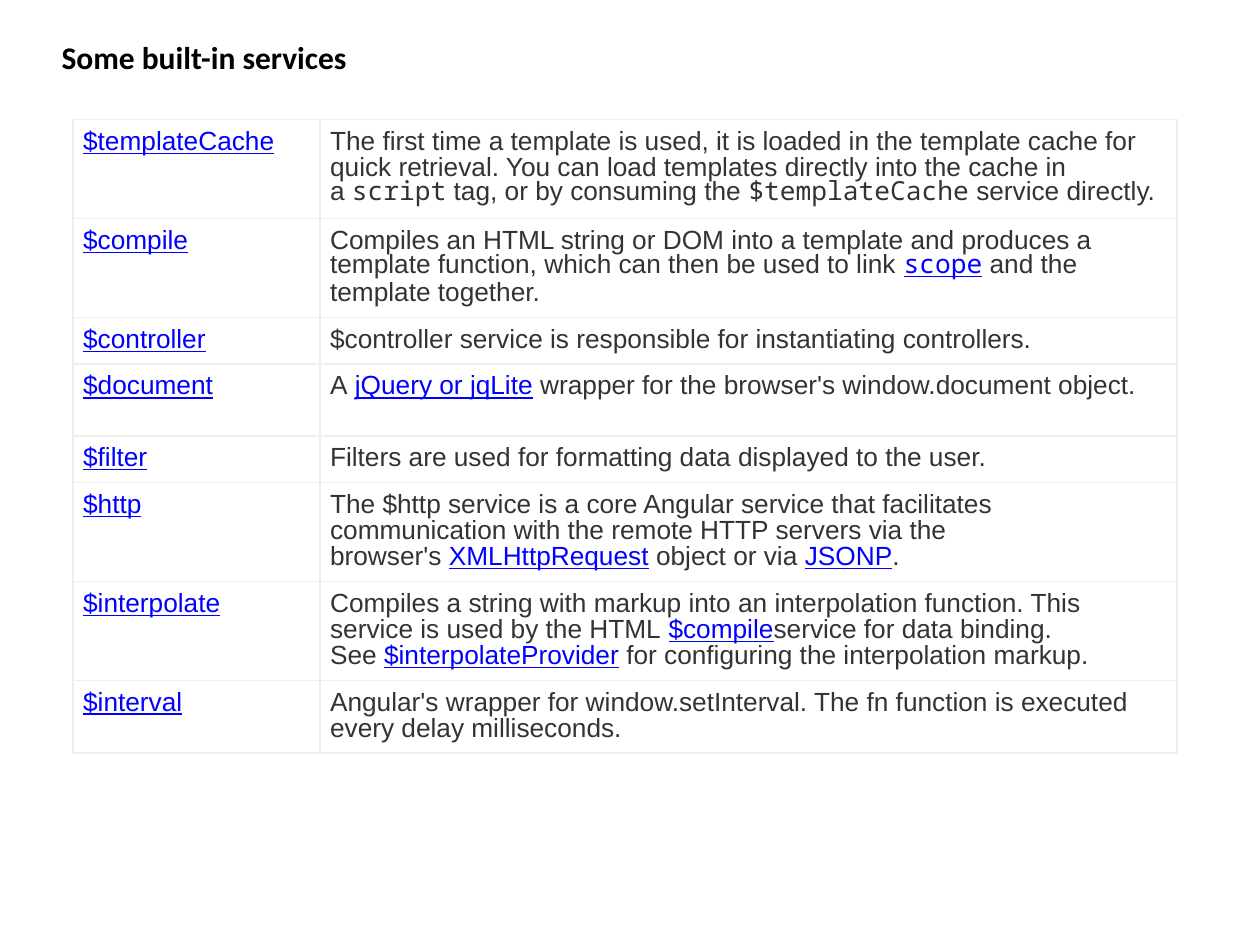
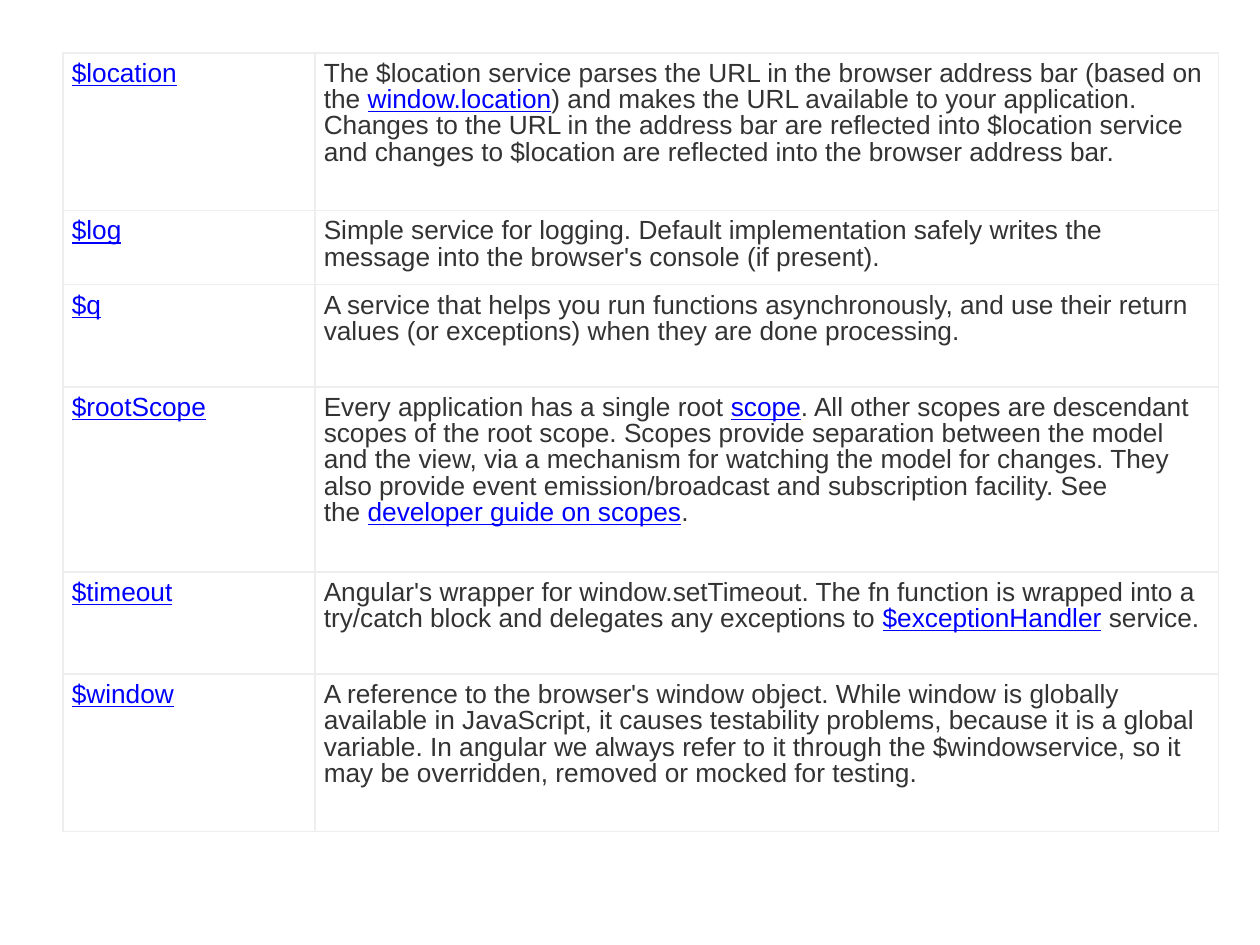
from lxml.etree import SubElement as Sub
from pptx import Presentation
from pptx.dml.color import RGBColor as RGB
from pptx.enum.text import MSO_AUTO_SIZE as Fit
from pptx.oxml.ns import qn
from pptx.util import Inches, Pt

HUES = {"title": "000000", "body": "333333", "link": "0000FF",
        "rule": "EEEEEE", "cell": "FFFFFF"}
FONTS = {"title": "Calibri", "body": "Arial", "code": "Noto Sans Mono"}

# In the texts "~" is a no-break space and "|" parts the runs.
# A run that starts with "@" is a link, "#" is code, "@#" is both.
CORE = [
    ("$templateCache", 0.77,
     "The first time a template is used, it is loaded in the template cache "
     "for quick retrieval. You can load templates directly into the cache in "
     "a~|#script|~tag, or by consuming the~|#$templateCache|~service directly."),
    ("$compile", 0.77,
     "Compiles an HTML string or DOM into a template and produces a template "
     "function, which can then be used to link~|@#scope|~and the template "
     "together."),
    ("$controller", 0.37,
     "$controller~service is responsible for instantiating controllers."),
    ("$document", 0.57,
     "A~|@jQuery or jqLite|~wrapper for the browser's~window.document~object."),
    ("$filter", 0.37,
     "Filters are used for formatting data displayed to the user."),
    ("$http", 0.77,
     "The~$http~service is a core Angular service that facilitates "
     "communication with the remote HTTP servers via the browser's~|"
     "@XMLHttpRequest|~object or via~|@JSONP|."),
    ("$interpolate", 0.77,
     "Compiles a string with markup into an interpolation function. This "
     "service is used by the HTML~|@$compile|service for data binding. See~|"
     "@$interpolateProvider|~for configuring the interpolation markup."),
    ("$interval", 0.57,
     "Angular's wrapper for~window.setInterval. The~fn~function is executed "
     "every~delay~milliseconds."),
]
MORE = [
    ("$location", 1.25,
     "The $location service parses the URL in the browser address bar (based "
     "on the~|@window.location|) and makes the URL available to your "
     "application. Changes to the URL in the address bar are reflected into "
     "$location service and changes to $location are reflected into the "
     "browser address bar."),
    ("$log", 0.59,
     "Simple service for logging. Default implementation safely writes the "
     "message into the browser's console (if present)."),
    ("$q", 0.81,
     "A service that helps you run functions asynchronously, and use their "
     "return values (or exceptions) when they are done processing."),
    ("$rootScope", 1.47,
     "Every application has a single root~|@scope|. All other scopes are "
     "descendant scopes of the root scope. Scopes provide separation between "
     "the model and the view, via a mechanism for watching the model for "
     "changes. They also provide event emission/broadcast and subscription "
     "facility. See the~|@developer guide on scopes|."),
    ("$timeout", 0.81,
     "Angular's wrapper for~window.setTimeout. The~fn~function is wrapped "
     "into a try/catch block and delegates any exceptions to~|"
     "@$exceptionHandler|~service."),
    ("$window", 1.25,
     "A reference to the browser's~window~object. While~window~is globally "
     "available in JavaScript, it causes testability problems, because it is "
     "a global variable. In angular we always refer to it through the~"
     "$windowservice, so it may be overridden, removed or mocked for testing."),
]


def add_run(para, text, font="body", size=15, hue="body", bold=None, line=None):
    """Add one formatted run to a paragraph."""
    run = para.add_run()
    run.text = text.replace("~", "\u00a0")
    face = run.font
    face.name, face.size = FONTS[font], Pt(size)
    face.bold, face.underline = bold, line
    face.color.rgb = RGB.from_string(HUES[hue])


def add_rules(cell):
    """Draw a thin rule on all four sides of a cell."""
    props = cell._tc.get_or_add_tcPr()
    for spot, side in enumerate("LRTB"):
        rule = Sub(props, qn(f"a:ln{side}"), w=str(Pt(1)))
        fill = Sub(rule, qn("a:solidFill"))
        Sub(fill, qn("a:srgbClr"), val=HUES["rule"])
        props.insert(spot, rule)


class Deck:
    """Holds the shared style and the current slide."""

    def __init__(self):
        """Start an empty 10 by 7.5 inch deck."""
        self.prs = Presentation()
        self.prs.slide_width, self.prs.slide_height = Inches(10), Inches(7.5)

    def new_slide(self):
        """Add a blank slide and make it current."""
        self.slide = self.prs.slides.add_slide(self.prs.slide_layouts[6])

    def title(self, text):
        """Write the slide title."""
        box = self.slide.shapes.add_textbox(
            Inches(0.39), Inches(0.25), Inches(8.5), Inches(1.62))
        frame = box.text_frame
        frame.word_wrap, frame.auto_size = True, Fit.SHAPE_TO_FIT_TEXT
        add_run(frame.paragraphs[0], text, font="title", size=18,
                hue="title", bold=True)

    def cell(self, cell, text, pad, after=None):
        """Fill one cell with marked-up text."""
        cell.fill.solid()
        cell.fill.fore_color.rgb = RGB.from_string(HUES["cell"])
        cell.margin_left = cell.margin_right = Inches(pad)
        cell.margin_top = cell.margin_bottom = Inches(pad)
        add_rules(cell)
        para = cell.text_frame.paragraphs[0]
        para.line_spacing = Pt(15)
        if after:
            para.space_after = Pt(after)
        for part in text.split("|"):
            link = part.startswith("@")
            part = part.removeprefix("@")
            code = part.startswith("#")
            add_run(para, part.removeprefix("#"), font="code" if code else "body",
                    hue="link" if link else "body", line=link)

    def table(self, rows, left, top, cols, pad):
        """Lay out services beside their descriptions."""
        high = sum(row[1] for row in rows)
        table = self.slide.shapes.add_table(
            len(rows), len(cols), Inches(left), Inches(top),
            Inches(sum(cols)), Inches(high)).table
        table.first_row = table.horz_banding = False
        for col, wide in zip(table.columns, cols):
            col.width = Inches(wide)
        for row, (name, tall, text) in zip(table.rows, rows):
            row.height = Inches(tall)
            self.cell(row.cells[0], "@" + name, pad)
            self.cell(row.cells[1], text, pad, after=7.5)


deck = Deck()
deck.new_slide()
deck.title("Some built-in services")
deck.table(CORE, 0.58, 0.95, (1.96, 6.8), pad=0.08)
deck.new_slide()
deck.table(MORE, 0.5, 0.42, (2, 7.17), pad=0.07)
deck.prs.save("out.pptx")
